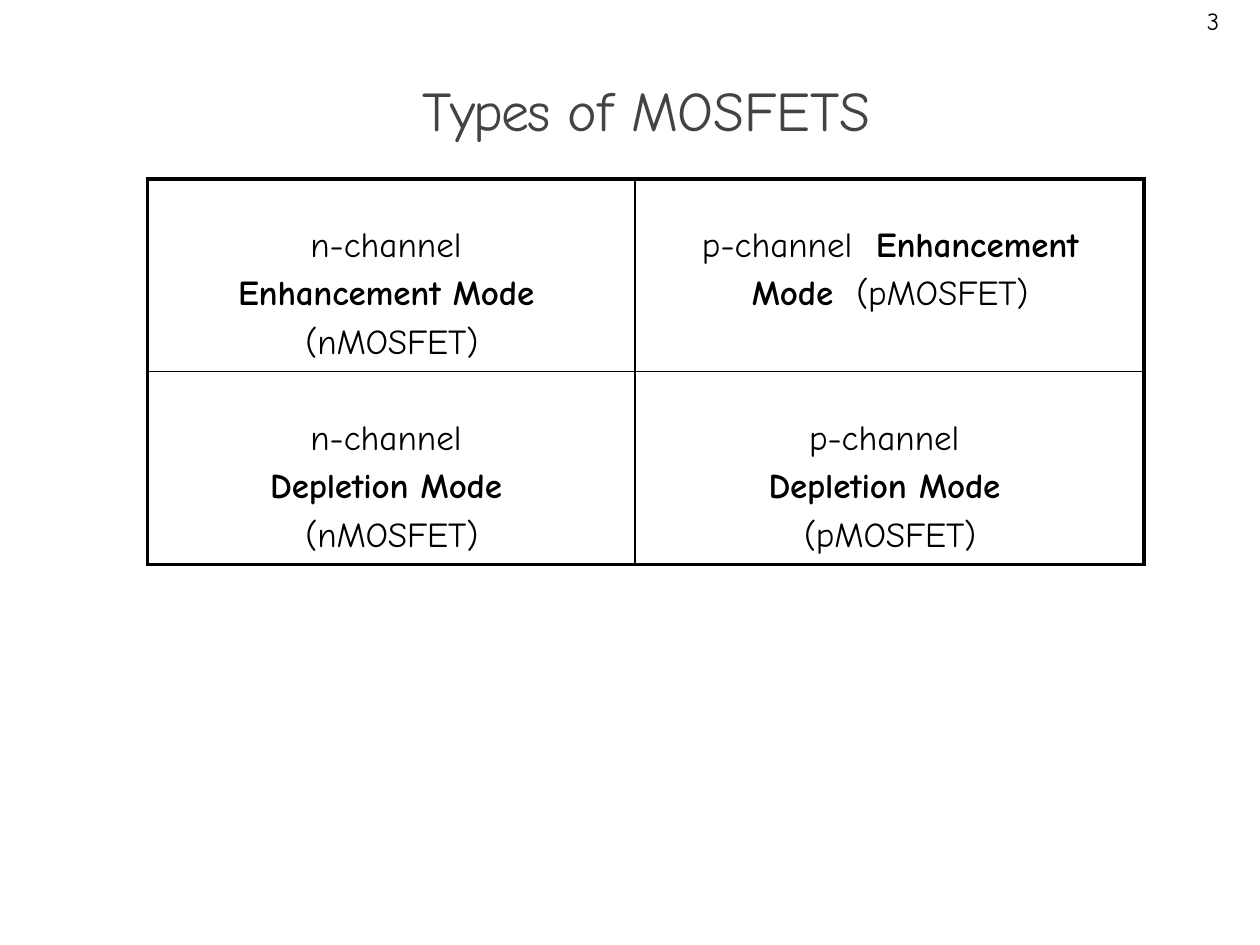
from lxml.etree import SubElement
from pptx import Presentation
from pptx.dml.color import RGBColor
from pptx.enum.text import MSO_ANCHOR, MSO_AUTO_SIZE, PP_ALIGN
from pptx.oxml.ns import qn
from pptx.util import Inches, Pt

FONT = "Comic Neue"
BLACK = "000000"
GRAY = "434342"
OUTER, INNER = 2.25, 1
COL_WIDTHS = (3.87, 4.04)
ROW_HEIGHT = 1.53
MODES = ("Enhancement Mode", "Depletion Mode")
CHANNELS = ("n", "p")
SIDE_MARGINS = ((0.49, 0.5), (0.87, 0.88))


def rgb(color):
    return RGBColor.from_string(color)


def add_run(p, text, size, color=BLACK, bold=False, spacing=0):
    """Add a run; spacing is the letter spacing in points."""
    r = p.add_run()
    r.text = text
    formats = {"name": FONT, "size": Pt(size), "bold": bold}
    for name, value in formats.items():
        setattr(r.font, name, value)
    r.font.color.rgb = rgb(color)
    if spacing:
        r._r.get_or_add_rPr().set("spc", str(round(spacing * 100)))


def set_frame(tf, **formats):
    for name, value in formats.items():
        setattr(tf, name, value)


def add_title(slide):
    sp = slide.shapes.title
    sp.left, sp.top = Inches(0.71), Inches(0.33)
    sp.width, sp.height = Inches(8.83), Inches(0.81)
    tf = sp.text_frame
    set_frame(tf, margin_left=Inches(0.01), margin_top=Inches(0.27),
              margin_right=0, margin_bottom=0, vertical_anchor=MSO_ANCHOR.TOP,
              word_wrap=True, auto_size=MSO_AUTO_SIZE.NONE)
    p = tf.paragraphs[0]
    p.alignment = PP_ALIGN.CENTER
    add_run(p, "Types ", 32, GRAY, spacing=-1)
    add_run(p, "of MOSFETS", 32, GRAY, spacing=-0.1)


def add_page_number(slide, number):
    sp = slide.shapes.add_textbox(Inches(9.48), 0, Inches(0.52), Inches(0.34))
    sp.text_frame.word_wrap = True
    add_run(sp.text_frame.paragraphs[0], number, 14)


def set_borders(cell, widths):
    """Draw black borders; widths maps the sides L, R, T, B to points."""
    tc_pr = cell._tc.get_or_add_tcPr()
    for i, side in enumerate("LRTB"):
        ln = SubElement(tc_pr, qn(f"a:ln{side}"), w=str(Pt(widths[side])))
        fill = SubElement(ln, qn("a:solidFill"))
        SubElement(fill, qn("a:srgbClr"), val=BLACK)
        tc_pr.insert(i, ln)


def fill_cell(cell, channel, mode, side_margin):
    cell.fill.background()
    set_frame(cell, margin_left=Inches(side_margin),
              margin_right=Inches(side_margin - 0.01),
              margin_top=Inches(0.31), margin_bottom=0)
    p = cell.text_frame.paragraphs[0]
    p.alignment = PP_ALIGN.CENTER
    p.line_spacing = 1.2
    add_run(p, f"{channel}-channel  ", 20)
    add_run(p, mode, 20, bold=True, spacing=-0.1)
    add_run(p, f"  ({channel}MOSFET)", 20, spacing=-0.1)


def add_mosfet_table(slide):
    rows, cols = len(MODES), len(CHANNELS)
    table = slide.shapes.add_table(
        rows, cols, Inches(1.17), Inches(1.42),
        Inches(sum(COL_WIDTHS)), Inches(ROW_HEIGHT * rows)).table
    table.first_row = table.horz_banding = False
    for column, width in zip(table.columns, COL_WIDTHS):
        column.width = Inches(width)
    for i, mode in enumerate(MODES):
        table.rows[i].height = Inches(ROW_HEIGHT)
        for j, channel in enumerate(CHANNELS):
            cell = table.cell(i, j)
            fill_cell(cell, channel, mode, SIDE_MARGINS[i][j])
            set_borders(cell, {
                "L": OUTER if j == 0 else INNER,
                "R": OUTER if j == cols - 1 else INNER,
                "T": OUTER if i == 0 else INNER,
                "B": OUTER if i == rows - 1 else INNER,
            })


def main():
    prs = Presentation()
    prs.slide_width, prs.slide_height = Inches(10), Inches(7.5)
    slide = prs.slides.add_slide(prs.slide_layouts[5])
    add_page_number(slide, "3")
    add_title(slide)
    add_mosfet_table(slide)
    prs.save("out.pptx")


if __name__ == "__main__":
    main()
